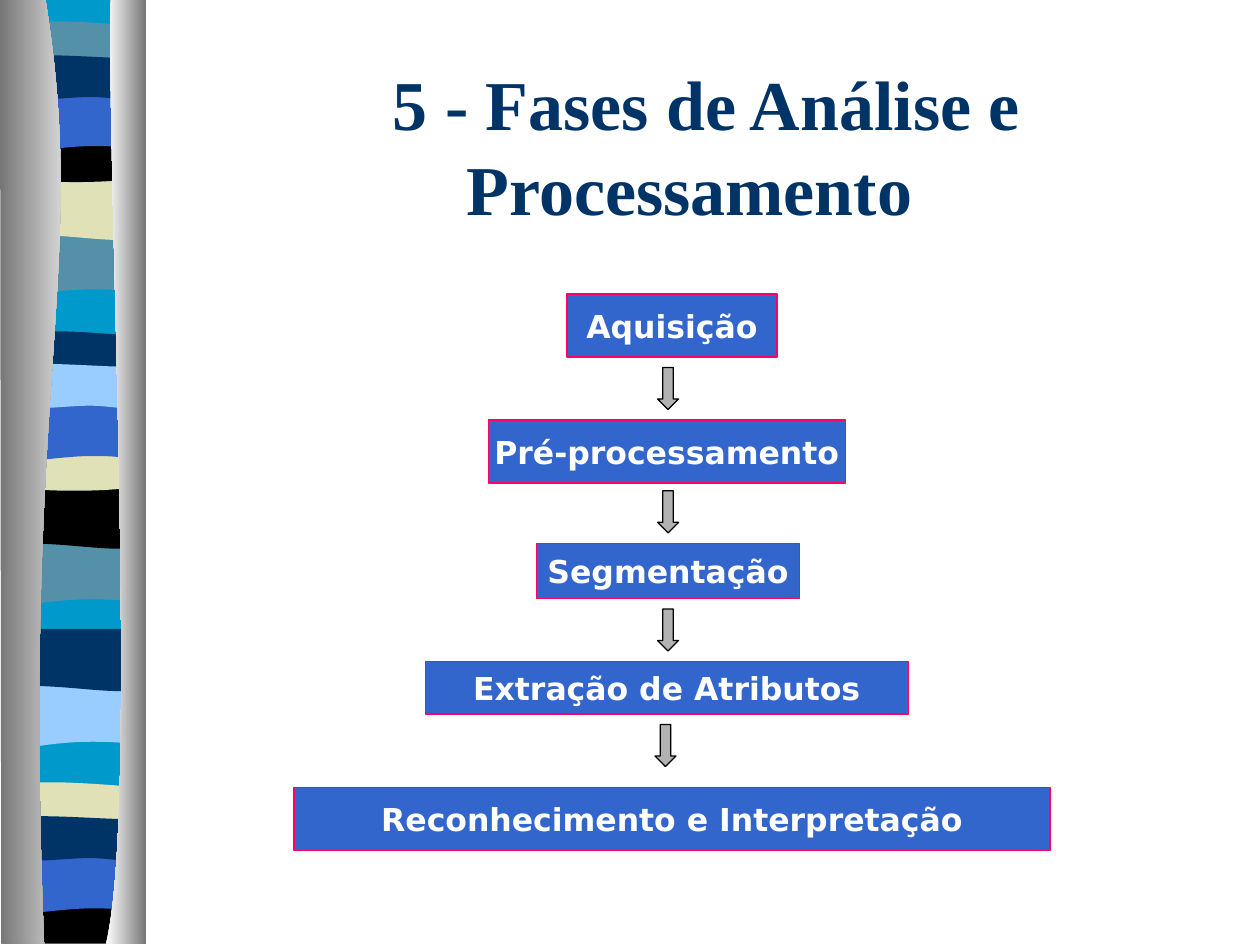
"""Build the slide on the phases of image analysis and processing."""
from dataclasses import dataclass

import lxml.etree
import pptx
import pptx.dml.color
import pptx.enum.shapes
import pptx.enum.text
import pptx.oxml.ns
import pptx.util

Inches = pptx.util.Inches
Pt = pptx.util.Pt
Shapes = pptx.enum.shapes.MSO_SHAPE
qn = pptx.oxml.ns.qn

NAVY, BLUE, SKY, CYAN = "003366", "3366CC", "99CCFF", "0099CC"
TEAL, SAND, BLACK, WHITE = "5490A8", "E1E1B7", "000000", "FFFFFF"
PINK, SILVER, GREY = "FF0066", "B2B2B2", "767676"
GRID = 1 / 24

SHEET = [(1.08, 0), (1.08, 7.48), (0, 7.48), (0, 0)]
DRAPE = [(1.08, 0), (1.08, 0.47), (0.33, 0.39, 0.18, 0.55, 0, 0.47), (0, 0)]
SWELL = [(1.08, 0), (1.08, 0.47), (0.9, 0.55, 0.33, 0.41, 0, 0.47), (0, 0)]
RIBBON = [(1.08, 0.05), (1.08, 0.29), (0.9, 0.33, 0.18, 0.33, 0, 0.29), (0, 0.05),
          (0.06, 0, 0.23, 0.01, 0.41, 0.01), (0.59, 0.01, 0.94, 0.04, 1.08, 0.05)]
BOWL = [(1.08, 0), (1.08, 0.32), (0.9, 0.38, 0.18, 0.38, 0, 0.32), (0, 0),
        (0.66, 0.05, 0.85, 0, 1.08, 0)]
FOOT = [(1.08, 0), (1.08, 0.37), (0, 0.37), (0, 0), (0.66, 0.05, 0.85, 0, 1.08, 0)]
ARCH = [(1.08, 0), (1.08, 0.47), (0.91, 0.42, 0.84, 0.42, 0.66, 0.42),
        (0.48, 0.42, 0.16, 0.47, 0, 0.47), (0, 0)]
WAVE = [(1.08, 0.05), (1.08, 0.36), (1.01, 0.41, 0.84, 0.36, 0.66, 0.36),
        (0.48, 0.36, 0.11, 0.41, 0, 0.36), (0, 0.05),
        (0.15, 0, 0.73, 0.05, 0.91, 0.05), (1.09, 0.05, 1.04, 0.05, 1.08, 0.05)]
LEFT_COLUMN = [(0.36, -0.01), (0.71, 2.16, 0.17, 2.96, 0.35, 7.49), (0.01, 7.49), (0, -0.01)]
RIGHT_COLUMN = [(0.88, -0.01), (0.84, 1.25, 1.11, 6.46, 0.84, 7.49), (1.16, 7.49), (1.16, 0)]


@dataclass
class Band:
    """A coloured strip of the side ornament."""
    outline: list
    left: float
    top: float
    color: str


@dataclass
class Phase:
    """A labelled box of the process, measured in grid steps."""
    label: str
    left: float
    top: float
    width: float
    height: float


BANDS = [
    Band(SHEET, 0.06, -0.01, CYAN),
    Band(DRAPE, 0.06, 1.85, TEAL),
    Band(SWELL, 0.06, 1.41, SAND),
    Band(RIBBON, 0.06, 0.16, TEAL),
    Band(BOWL, 0.06, 1.08, BLACK),
    Band(ARCH, 0.06, 0.74, BLUE),
    Band(WAVE, 0.06, 0.41, NAVY),
    Band(DRAPE, 0.05, 4.31, TEAL),
    Band(SWELL, 0.05, 3.86, BLACK),
    Band(RIBBON, 0.05, 2.62, NAVY),
    Band(BOWL, 0.05, 3.53, SAND),
    Band(ARCH, 0.05, 3.2, BLUE),
    Band(WAVE, 0.05, 2.86, SKY),
    Band(DRAPE, 0.06, 5.44, SKY),
    Band(SWELL, 0.06, 4.99, NAVY),
    Band(RIBBON, 0.05, 6.2, SAND),
    Band(FOOT, 0.05, 7.12, BLACK),
    Band(ARCH, 0.05, 6.79, BLUE),
    Band(WAVE, 0.05, 6.45, NAVY),
]
PHASES = [
    Phase("Aquisição", 108, 56, 40, 12),
    Phase("Pré-processamento", 93, 80, 68, 12),
    Phase("Segmentação", 102.25, 103.5, 50, 10.5),
    Phase("Extração de Atributos", 81, 126, 92, 10),
    Phase("Reconhecimento e Interpretação", 56, 150, 144, 12),
]
ARROWS = [(125.25, 70), (124.75, 138), (125.25, 116), (125.25, 93.5)]


def rgb(color: str) -> pptx.dml.color.RGBColor:
    """Turn a hex string into a colour."""
    return pptx.dml.color.RGBColor.from_string(color)


def bend(shape, outline: list) -> None:
    """Turn each run of three control segments into one cubic curve."""
    segments = iter(list(shape._element.iter(qn("a:lnTo"))))
    for step in outline[1:]:
        first = next(segments)
        if len(step) == 2:
            continue
        curve = lxml.etree.Element(qn("a:cubicBezTo"))
        first.addprevious(curve)
        for segment in (first, next(segments), next(segments)):
            curve.append(segment[0])
            segment.getparent().remove(segment)


def draw_outline(page, outline: list, left: float = 0, top: float = 0):
    """Draw a closed outline without line or shadow."""
    points = [(Inches(left + step[index]), Inches(top + step[index + 1]))
              for step in outline for index in range(0, len(step), 2)]
    builder = page.shapes.build_freeform(*points[0])
    builder.add_line_segments(points[1:], close=True)
    shape = builder.convert_to_shape()
    bend(shape, outline)
    shape.shadow.inherit = False
    shape.line.fill.background()
    return shape


def draw_band(page, band: Band) -> None:
    """Draw one plain strip."""
    shape = draw_outline(page, band.outline, band.left, band.top)
    shape.fill.solid()
    shape.fill.fore_color.rgb = rgb(band.color)


def draw_column(page, outline: list, colors: tuple[str, str]) -> None:
    """Draw a column shaded from left to right."""
    shape = draw_outline(page, outline)
    shape.fill.gradient()
    shape.fill.gradient_angle = 0
    for position, (stop, color) in enumerate(zip(shape.fill.gradient_stops, colors)):
        stop.position = position
        stop.color.rgb = rgb(color)


def draw_shape(page, kind, left: float, top: float, width: float, height: float,
               fill: str, line: str):
    """Draw a filled preset shape with a thin line, measured in grid steps."""
    shape = page.shapes.add_shape(
        kind, *(Inches(steps * GRID) for steps in (left, top, width, height)))
    shape.shadow.inherit = False
    shape.fill.solid()
    shape.fill.fore_color.rgb = rgb(fill)
    shape.line.color.rgb = rgb(line)
    shape.line.width = Pt(0.75)
    return shape


def add_span(para, text: str, *, size: float, font: str, color: str, bold: bool = False) -> None:
    """Add formatted text to a paragraph."""
    span = para.add_run()
    span.text = text
    span.font.size = Pt(size)
    span.font.name = font
    span.font.bold = bold
    span.font.color.rgb = rgb(color)


def draw_phase(page, phase: Phase) -> None:
    """Draw one box with its label."""
    box = draw_shape(page, Shapes.RECTANGLE, phase.left, phase.top, phase.width, phase.height,
                     BLUE, PINK)
    box.text_frame.word_wrap = False
    box.text_frame.vertical_anchor = pptx.enum.text.MSO_ANCHOR.MIDDLE
    para = box.text_frame.paragraphs[0]
    para.alignment = pptx.enum.text.PP_ALIGN.CENTER
    add_span(para, phase.label, size=18, font="DejaVu Sans", color=WHITE, bold=True)


def write_title(page) -> None:
    """Place and fill the title."""
    title = page.shapes.title
    title.left, title.top = Inches(1.28), Inches(0.5)
    title.width, title.height = Inches(8.5), Inches(1.25)
    frame = title.text_frame
    frame.word_wrap = True
    frame.auto_size = pptx.enum.text.MSO_AUTO_SIZE.NONE
    frame.vertical_anchor = pptx.enum.text.MSO_ANCHOR.MIDDLE
    para = frame.paragraphs[0]
    para.alignment = pptx.enum.text.PP_ALIGN.CENTER
    add_span(para, " ", size=44, font="Times New Roman", color=NAVY)
    add_span(para, "5 - Fases de Análise e Processamento", size=40, font="Times New Roman",
             color=NAVY, bold=True)
    add_span(para, " ", size=32, font="Lato", color=NAVY)


def main() -> None:
    """Build and save the deck."""
    deck = pptx.Presentation()
    deck.slide_width, deck.slide_height = Inches(10), Inches(7.5)
    page = deck.slides.add_slide(deck.slide_layouts[5])
    for band in BANDS:
        draw_band(page, band)
    draw_column(page, LEFT_COLUMN, (GREY, WHITE))
    draw_column(page, RIGHT_COLUMN, (WHITE, GREY))
    for phase in PHASES:
        draw_phase(page, phase)
    for left, top in ARROWS:
        draw_shape(page, Shapes.DOWN_ARROW, left, top, 4, 8, SILVER, BLACK)
    write_title(page)
    deck.save("out.pptx")


if __name__ == "__main__":
    main()
